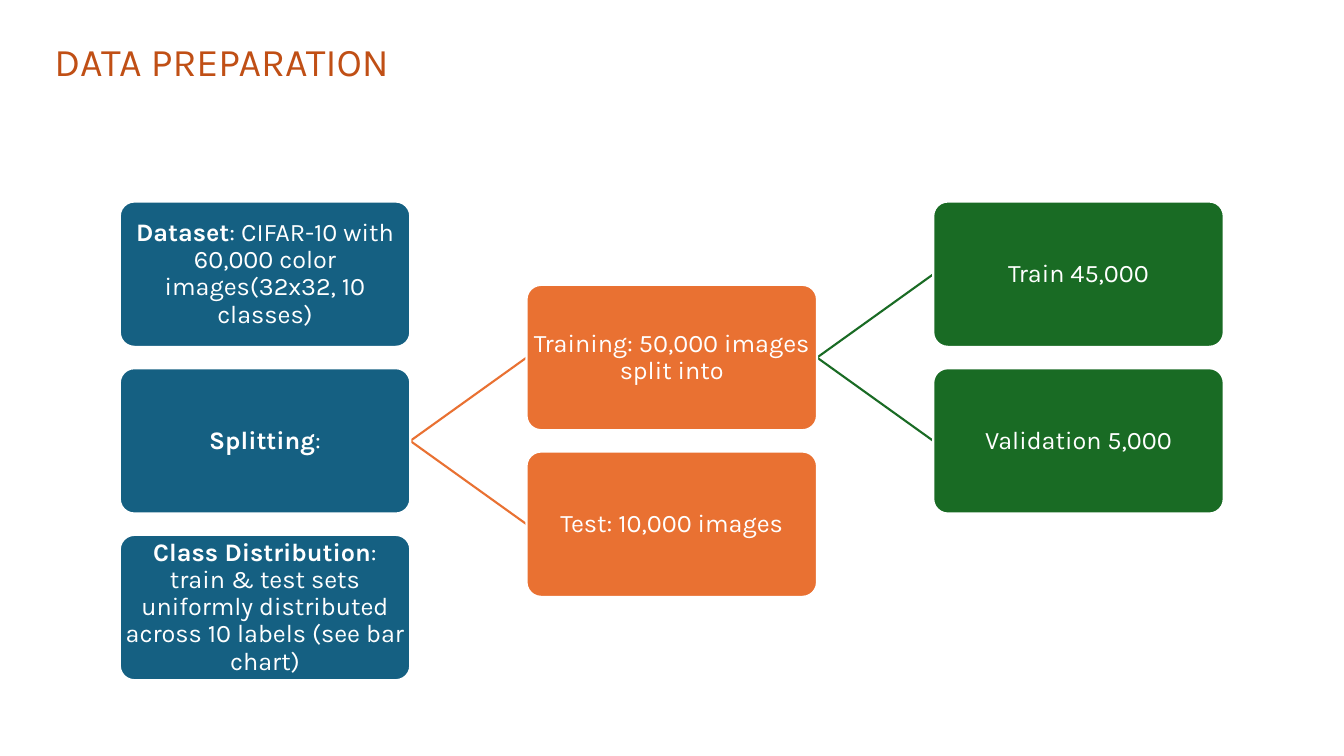
from pptx import Presentation
from pptx import util as u
from pptx.dml.color import RGBColor
from pptx.enum import shapes, text
from pptx.oxml.ns import qn
from lxml import etree

BLUE = RGBColor(0x15, 0x60, 0x82)
ORANGE = RGBColor(0xE9, 0x71, 0x32)
GREEN = RGBColor(0x19, 0x6B, 0x24)
RUST = RGBColor(0xC0, 0x4F, 0x15)
WHITE = RGBColor(0xFF, 0xFF, 0xFF)

LEFT, TOP = 3.02, 5.08
WIDE, HIGH = 7.32, 3.66
STEP, HALF = 10.25, 2.1


def add_run(para, words, size, color, bold=False):
    run = para.add_run()
    run.text = words
    run.font.name = "Karla"
    run.font.size = u.Pt(size)
    run.font.bold = bold
    run.font.color.rgb = color


deck = Presentation()
deck.slide_width, deck.slide_height = u.Cm(33.87), u.Cm(19.05)
slide = deck.slides.add_slide(deck.slide_layouts[6])

links = [
    (0, 2, 1, ORANGE),
    (0, 2, 3, ORANGE),
    (1, 1, 0, GREEN),
    (1, 1, 2, GREEN),
]
for col, start, end, color in links:
    x = LEFT + col * STEP
    mid = TOP + HIGH / 2
    line = slide.shapes.add_connector(
        shapes.MSO_CONNECTOR.STRAIGHT,
        u.Cm(x + WIDE), u.Cm(mid + start * HALF),
        u.Cm(x + STEP), u.Cm(mid + end * HALF))
    line.line.color.rgb = color
    line.line.width = u.Pt(1.5)
    etree.SubElement(line._element.spPr, qn("a:effectLst"))

boxes = [
    (0, 0, BLUE, "Dataset", ": CIFAR-10 with 60,000 color images(32x32, 10 classes)"),
    (0, 2, BLUE, "Splitting", ":"),
    (0, 4, BLUE, "Class Distribution",
     ": train & test sets uniformly distributed across 10 labels (see bar chart)"),
    (1, 1, ORANGE, "", "Training: 50,000 images split into"),
    (1, 3, ORANGE, "", "Test: 10,000 images"),
    (2, 0, GREEN, "", "Train 45,000"),
    (2, 2, GREEN, "", "Validation 5,000"),
]
for col, row, color, head, body in boxes:
    box = slide.shapes.add_shape(
        shapes.MSO_SHAPE.ROUNDED_RECTANGLE,
        u.Cm(LEFT + col * STEP), u.Cm(TOP + row * HALF), u.Cm(WIDE), u.Cm(HIGH))
    box.adjustments[0] = 0.1
    box.shadow.inherit = False
    box.fill.solid()
    box.fill.fore_color.rgb = color
    box.line.color.rgb = WHITE
    box.line.width = u.Pt(1.5)
    frame = box.text_frame
    frame.word_wrap = True
    frame.vertical_anchor = text.MSO_ANCHOR.MIDDLE
    frame.margin_left = frame.margin_right = u.Cm(0.03)
    frame.margin_top = frame.margin_bottom = u.Cm(0.03)
    para = frame.paragraphs[0]
    para.alignment = text.PP_ALIGN.CENTER
    para.line_spacing = 0.9
    if head:
        add_run(para, head, 18, WHITE, True)
    add_run(para, body, 18, WHITE)

title = slide.shapes.add_textbox(u.Cm(1.12), u.Cm(0.81), u.Cm(22.12), u.Cm(1.45))
title.text_frame.word_wrap = True
add_run(title.text_frame.paragraphs[0], "DATA PREPARATION", 28, RUST)

deck.save("out.pptx")
